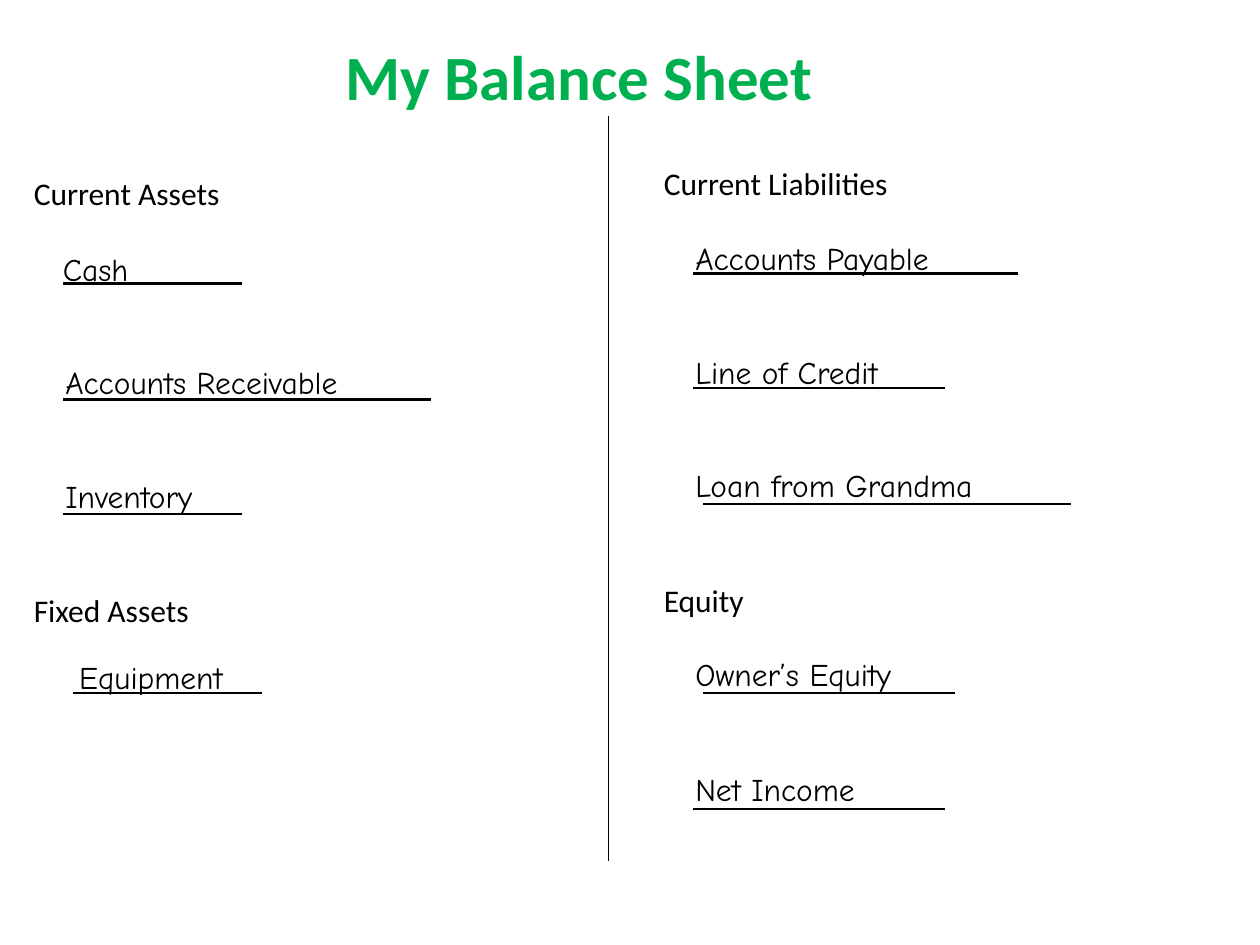
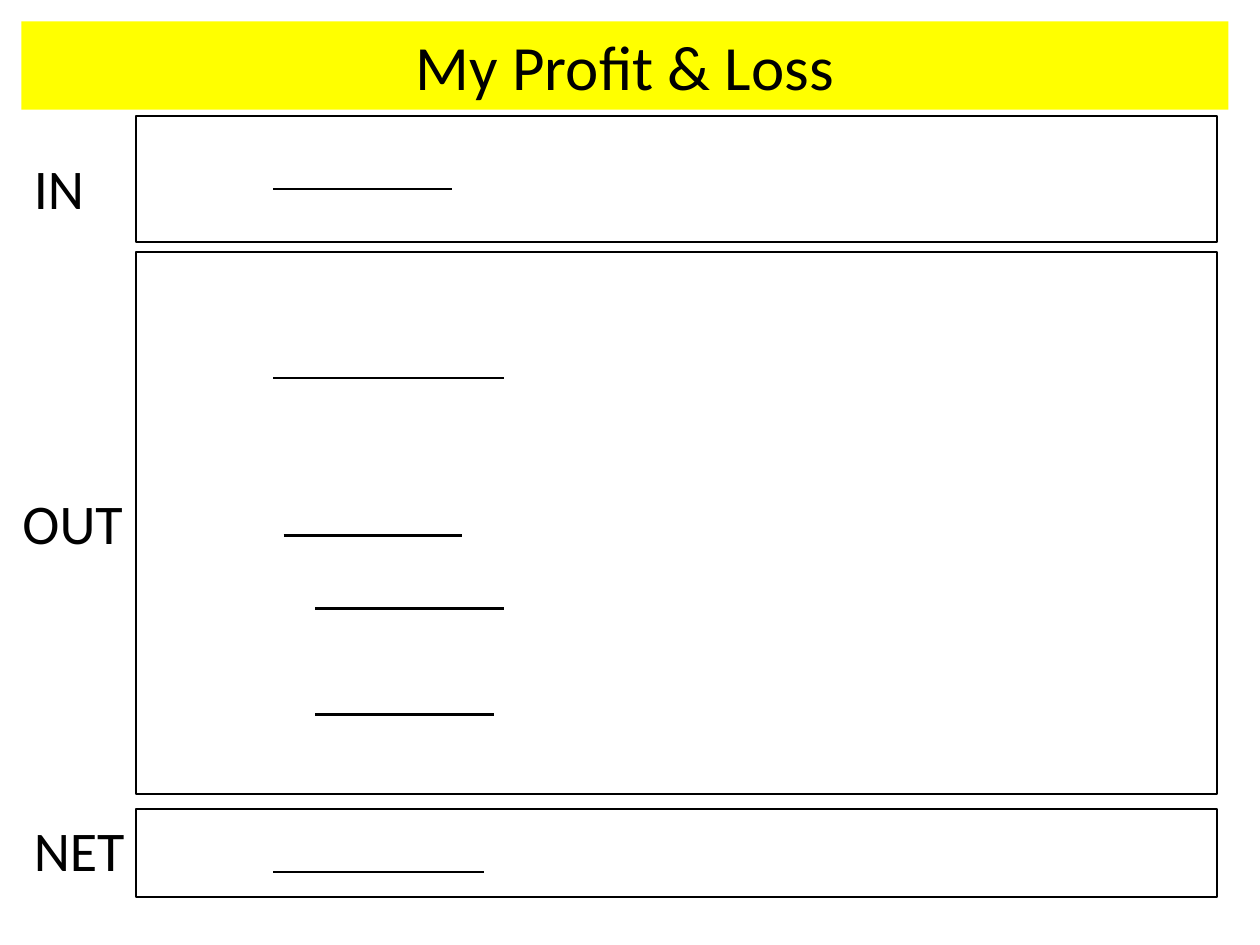
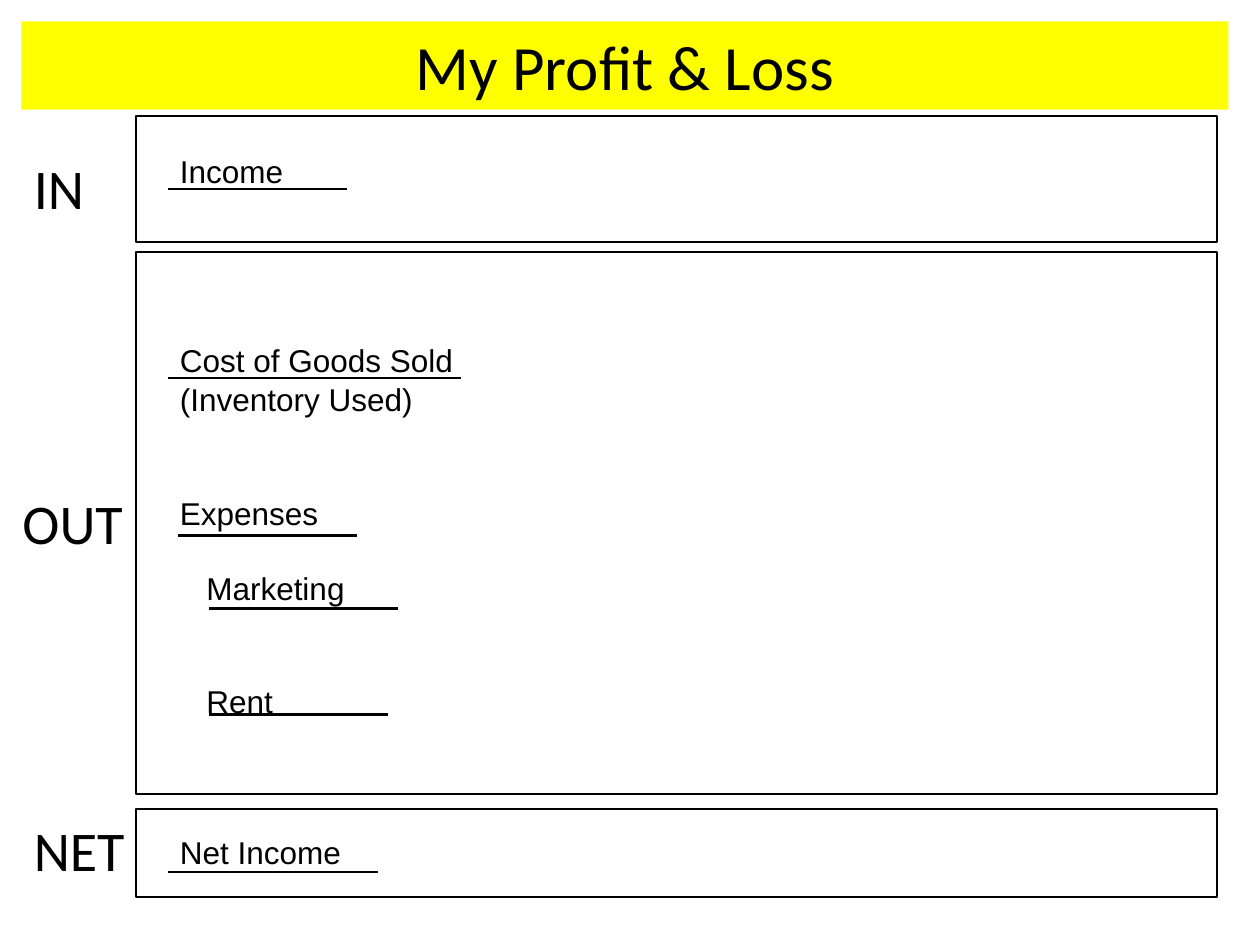
from lxml import etree
from pptx import Presentation, util as u
from pptx.dml.color import RGBColor
from pptx.enum import shapes, text
from pptx.oxml import ns

BLACK = RGBColor(0x00, 0x00, 0x00)
GREEN = RGBColor(0x00, 0xB0, 0x50)
YELLOW = RGBColor(0xFF, 0xFF, 0x00)
HEADING_FONT = "Calibri"
ENTRY_FONT = "Comic Neue"
LABEL_FONT = "Arial"


def add_text(page, left, top, width, height, lines, size=18, color=BLACK, bold=False, align=text.PP_ALIGN.LEFT):
    box = page.shapes.add_textbox(u.Inches(left), u.Inches(top), u.Inches(width), u.Inches(height))
    frame = box.text_frame
    frame.word_wrap = True
    frame.text = "\n".join(line[0] for line in lines)
    for para, (_, font, gap, indent) in zip(frame.paragraphs, lines):
        para.alignment = align
        if gap:
            para.space_before = u.Pt(gap)
        if indent:
            para._p.get_or_add_pPr().set("marL", str(u.Inches(indent)))
        for span in para.runs:
            span.font.name = font
            span.font.size = u.Pt(size)
            span.font.bold = bold
            span.font.color.rgb = color
    return box


def add_line(page, left, top, right, bottom, weight=1.5):
    line = page.shapes.add_connector(
        shapes.MSO_CONNECTOR.STRAIGHT, u.Inches(left), u.Inches(top), u.Inches(right), u.Inches(bottom))
    line.line.color.rgb = BLACK
    line.line.width = u.Pt(weight)
    etree.SubElement(line._element.spPr, ns.qn("a:effectLst"))


deck = Presentation()
deck.slide_width = u.Inches(10)
deck.slide_height = u.Inches(7.5)
blank = deck.slide_layouts[6]

page = deck.slides.add_slide(blank)
title = add_text(page, 0.17, 0.25, 9.08, 0.7, [("My Balance Sheet", HEADING_FONT, 0, 0)],
                 36, GREEN, True, text.PP_ALIGN.CENTER)
title.text_frame.margin_right = u.Inches(0.33)
add_text(page, 0.17, 1.33, 4.83, 4.9, [
    ("Current Assets", HEADING_FONT, 0, 0),
    ("Cash", ENTRY_FONT, 22, 0.23),
    ("Accounts Receivable", ENTRY_FONT, 43, 0.25),
    ("Inventory", ENTRY_FONT, 43.5, 0.25),
    ("Fixed Assets", HEADING_FONT, 43.5, 0),
])
add_text(page, 0.53, 5.17, 1.48, 0.4, [("Equipment", ENTRY_FONT, 0, 0)])
add_text(page, 5.17, 1.25, 4.83, 6.1, [
    ("Current Liabilities", HEADING_FONT, 0, 0),
    ("Accounts Payable", ENTRY_FONT, 21.5, 0.25),
    ("Line of Credit", ENTRY_FONT, 43.5, 0.25),
    ("Loan from Grandma", ENTRY_FONT, 43, 0.25),
    ("Equity", HEADING_FONT, 44, 0),
    ("Owner’s Equity", ENTRY_FONT, 21, 0.25),
    ("Net Income", ENTRY_FONT, 44, 0.25),
])
add_line(page, 4.83, 0.92, 4.83, 6.83, 0.75)
for left, right, y in [
    (0.5, 1.92, 2.25), (0.5, 3.42, 3.17), (0.5, 1.92, 4.08), (0.58, 2.08, 5.5),
    (5.5, 8.08, 2.17), (5.5, 7.5, 3.08), (5.58, 8.5, 4), (5.58, 7.58, 5.5), (5.5, 7.5, 6.42),
]:
    add_line(page, left, y, right, y)

profit_entries = [
    ("Income", LABEL_FONT, 0, 0),
    ("Cost of Goods Sold", LABEL_FONT, 86.5, 0),
    ("(Inventory Used)", LABEL_FONT, 0.5, 0),
    ("Expenses", LABEL_FONT, 43.5, 0),
    ("Marketing", LABEL_FONT, 21, 0.21),
    ("Rent", LABEL_FONT, 43, 0.21),
    ("Net Income", LABEL_FONT, 65, 0),
]
sections = [
    ("IN", 0.17, 1.17, 0.67, 0.92, 1),
    ("OUT", 0.08, 3.83, 1.08, 2, 4.3),
    ("NET", 0.17, 6.42, 1, 6.42, 0.7),
]
for entries, rule_left, goods_length in [([], 2.17, 1.83), (profit_entries, 1.33, 2.33)]:
    page = deck.slides.add_slide(blank)
    if entries:
        add_text(page, 1.33, 1.16, 4.83, 5.8, entries)
    band = add_text(page, 0.17, 0.17, 9.58, 0.7, [("My Profit & Loss", HEADING_FONT, 0, 0)],
                    36, align=text.PP_ALIGN.CENTER)
    band.fill.solid()
    band.fill.fore_color.rgb = YELLOW
    for indent, y, length in [
        (0, 1.5, 1.42), (0, 3, goods_length), (0.08, 4.25, 1.42),
        (0.33, 4.83, 1.5), (0.33, 5.67, 1.42), (0, 6.92, 1.67),
    ]:
        left = rule_left + indent
        add_line(page, left, y, left + length, y)
    for name, left, top, width, frame_top, frame_height in sections:
        frame = page.shapes.add_shape(
            shapes.MSO_SHAPE.RECTANGLE, u.Inches(1.08), u.Inches(frame_top), u.Inches(8.58), u.Inches(frame_height))
        frame.shadow.inherit = False
        frame.fill.background()
        frame.line.color.rgb = BLACK
        frame.line.width = u.Pt(1)
        add_text(page, left, top, width, 0.64, [(name, HEADING_FONT, 0, 0)], 32)

deck.save("out.pptx")
